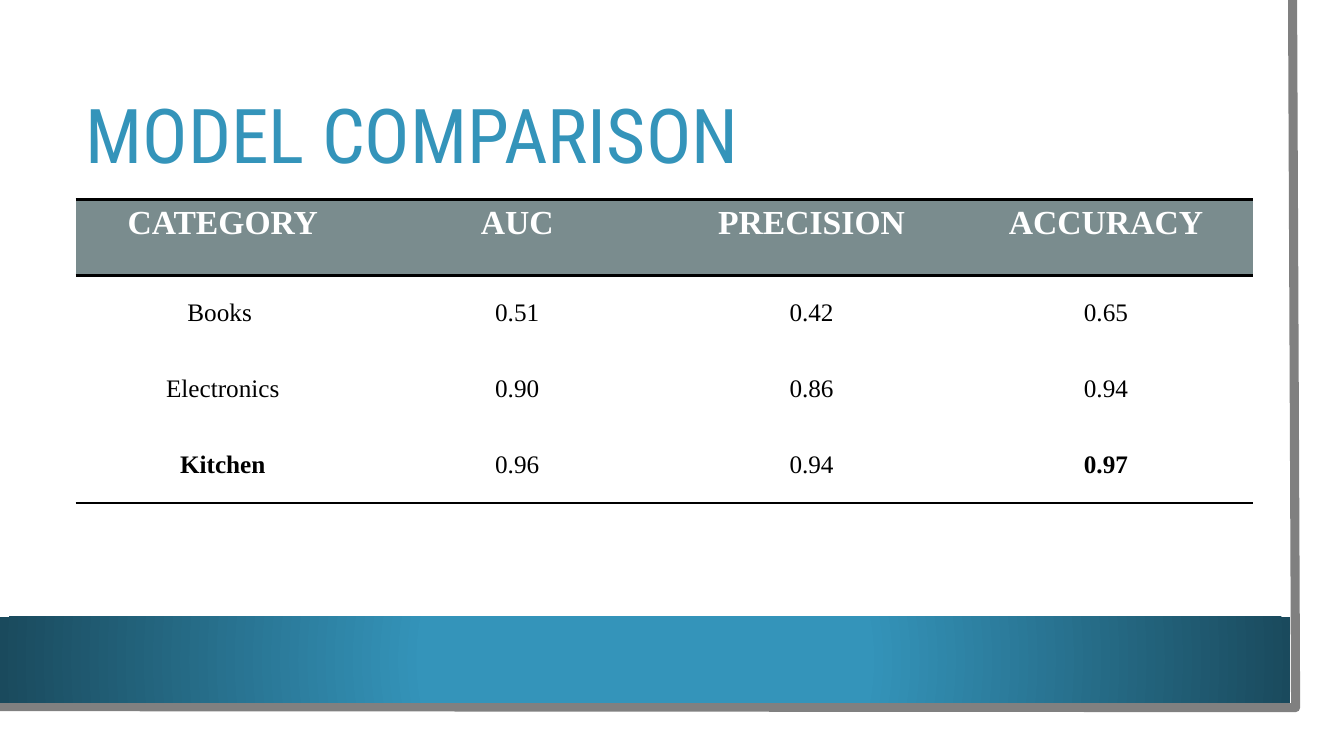
from dataclasses import dataclass

from lxml import etree
from pptx import Presentation
from pptx import util as u
from pptx.dml.color import RGBColor
from pptx.enum import shapes, text
from pptx.oxml import ns, parse_xml

PX = 9144  # EMU in one px, 100 px to the inch
COLORS = {
    "white": "FFFFFF",
    "black": "000000",
    "frame": "808080",
    "accent": "3494BA",
    "accent_dark": "1A4A5D",
    "header": "7A8C8E",
}
NO_TABLE_STYLE = "{2D5ABB26-0587-4C30-8999-92F81FD0307C}"
HEADINGS = ["CATEGORY", "AUC", "PRECISION", "ACCURACY"]
SCORES = [
    ["Books ", "0.51", "0.42", "0.65"],
    ["Electronics", "0.90", "0.86", "0.94"],
    ["Kitchen", "0.96", "0.94", "0.97"],
]
BOLD_SCORES = {(3, 0), (3, 3)}


@dataclass(frozen=True)
class Box:
    left: int
    top: int
    width: int
    height: int

    def emu(self) -> list[int]:
        return [n * PX for n in (self.left, self.top, self.width, self.height)]


@dataclass(frozen=True)
class RowStyle:
    size: int
    color: str
    fill: str
    anchor: text.MSO_ANCHOR
    rules: tuple[str, ...] = ()


HEADER_ROW = RowStyle(24, "white", "header", text.MSO_ANCHOR.TOP, ("lnT", "lnB"))
INNER_ROW = RowStyle(18, "black", "white", text.MSO_ANCHOR.MIDDLE)
LAST_ROW = RowStyle(18, "black", "white", text.MSO_ANCHOR.MIDDLE, ("lnB",))

PAPER = Box(0, 0, 1310, 727)
BAND = Box(0, 612, 1280, 85)
TITLE = Box(75, 75, 1137, 126)
TABLE = Box(75, 198, 1168, 301)
FRAME = [(1282, 0), (1285, 702), (-3, 701)]


def rgb(name: str) -> RGBColor:
    return RGBColor.from_string(COLORS[name])


def add_panel(page, box: Box):
    panel = page.shapes.add_shape(shapes.MSO_SHAPE.RECTANGLE, *box.emu())
    panel.shadow.inherit = False
    panel.line.fill.background()
    panel.fill.solid()
    panel.fill.fore_color.rgb = rgb("white")
    return panel


def set_radial_fill(panel, inner: str, outer: str) -> None:
    """Fade from the inner colour at the centre to the outer one at the edge."""
    solid = panel._element.spPr.find(ns.qn("a:solidFill"))
    gradient = parse_xml(
        f'<a:gradFill {ns.nsdecls("a")}><a:gsLst>'
        f'<a:gs pos="34000"><a:srgbClr val="{COLORS[inner]}"/></a:gs>'
        f'<a:gs pos="100000"><a:srgbClr val="{COLORS[outer]}"/></a:gs>'
        '</a:gsLst><a:path path="circle">'
        '<a:fillToRect l="50000" t="50000" r="50000" b="50000"/>'
        "</a:path></a:gradFill>"
    )
    solid.getparent().replace(solid, gradient)


def add_frame(page) -> None:
    builder = page.shapes.build_freeform(*FRAME[0], scale=PX)
    builder.add_line_segments(FRAME[1:], close=False)
    frame = builder.convert_to_shape()
    frame.shadow.inherit = False
    frame.fill.background()
    frame.line.color.rgb = rgb("frame")
    frame.line.width = u.Pt(6.5)


def set_title(page) -> None:
    title = page.shapes.title
    title.left, title.top, title.width, title.height = TITLE.emu()
    frame = title.text_frame
    frame.text = "MODEL COMPARISON"
    frame.auto_size = text.MSO_AUTO_SIZE.NONE
    frame.vertical_anchor = text.MSO_ANCHOR.MIDDLE
    para = frame.paragraphs[0]
    para.alignment = text.PP_ALIGN.LEFT
    para.line_spacing = 0.9
    para.font.name = "Roboto Condensed"
    para.font.size = u.Pt(54)
    para.font.color.rgb = rgb("accent")


def add_rule(cell, side: str) -> None:
    """Draw a black border on one side, named lnT or lnB."""
    properties = cell._tc.get_or_add_tcPr()
    line = etree.SubElement(properties, ns.qn(f"a:{side}"), w=str(u.Pt(2)))
    fill = etree.SubElement(line, ns.qn("a:solidFill"))
    etree.SubElement(fill, ns.qn("a:srgbClr"), val=COLORS["black"])


def fill_cell(cell, wording: str, style: RowStyle, bold: bool) -> None:
    for side in style.rules:
        add_rule(cell, side)
    cell.fill.solid()
    cell.fill.fore_color.rgb = rgb(style.fill)
    cell.vertical_anchor = style.anchor
    cell.text = wording
    para = cell.text_frame.paragraphs[0]
    para.alignment = text.PP_ALIGN.CENTER
    para.font.name = "Times New Roman"
    para.font.size = u.Pt(style.size)
    para.font.bold = bold
    para.font.color.rgb = rgb(style.color)


def add_score_table(page) -> None:
    rows = [HEADINGS, *SCORES]
    styles = [HEADER_ROW, INNER_ROW, INNER_ROW, LAST_ROW]
    table = page.shapes.add_table(len(rows), len(HEADINGS), *TABLE.emu()).table
    table.first_row = table.horz_banding = False
    table._tbl.tblPr.find(ns.qn("a:tableStyleId")).text = NO_TABLE_STYLE
    for r, (row, style) in enumerate(zip(rows, styles)):
        for c, wording in enumerate(row):
            bold = r == 0 or (r, c) in BOLD_SCORES
            fill_cell(table.cell(r, c), wording, style, bold)


def main() -> None:
    deck = Presentation()
    deck.slide_width, deck.slide_height = 1333 * PX, 750 * PX
    page = deck.slides.add_slide(deck.slide_layouts[5])
    add_panel(page, PAPER)
    add_frame(page)
    set_radial_fill(add_panel(page, BAND), "accent", "accent_dark")
    # The title comes first in the template, so bring it above the panels.
    page.shapes._spTree.append(page.shapes.title._element)
    set_title(page)
    add_score_table(page)
    deck.save("out.pptx")


if __name__ == "__main__":
    main()
